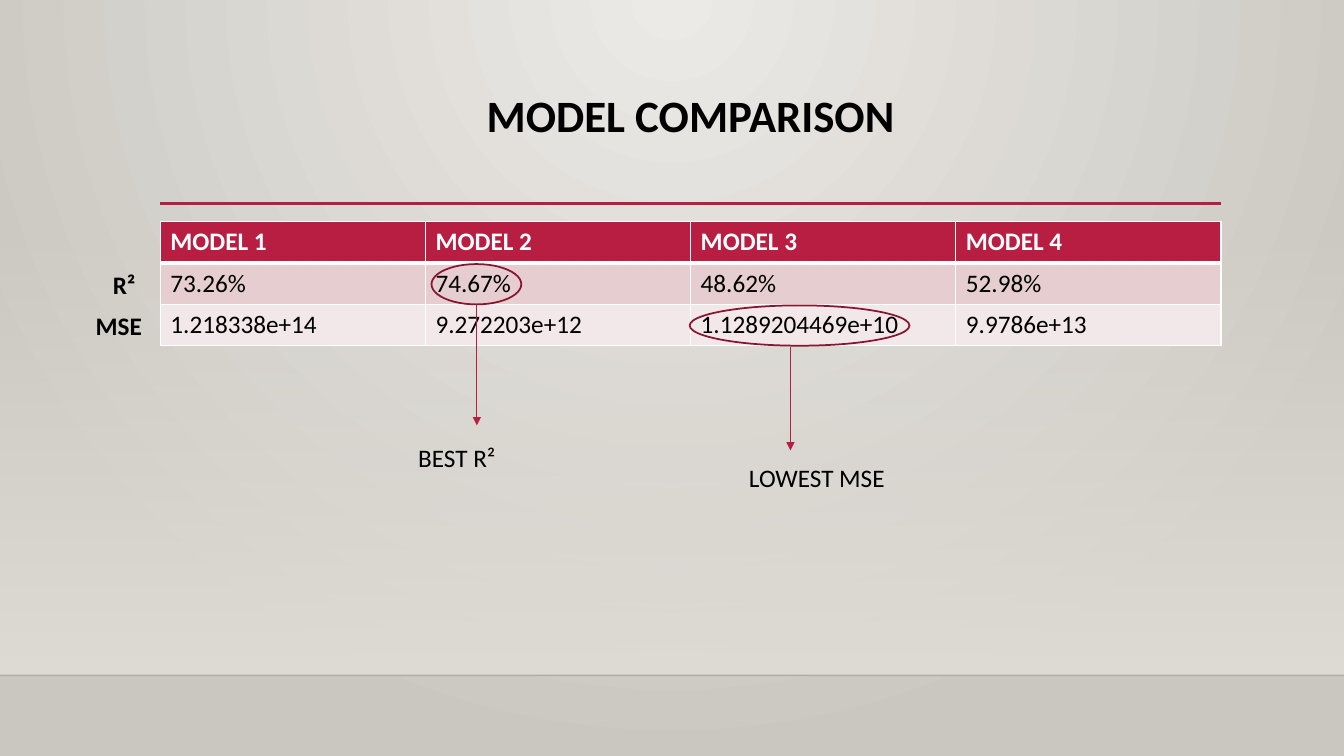
from lxml import etree
from pptx import Presentation
from pptx import util as u
from pptx.dml.color import RGBColor
from pptx.enum import shapes, text
from pptx.oxml.ns import qn

COLORS = {
    "black": "000000", "white": "FFFFFF", "crimson": "B71E42", "maroon": "871631",
    "rose": "E6CDCF", "blush": "F3E8E9", "light": "ECEAE7", "dark": "CAC7C1",
    "band": "DFDBD5", "floor": "000001",
}
WIDTH, HEIGHT = 13.33, 7.5
LEFT, TOP, COLUMN, ROW = 1.59, 2.2, 2.63, 0.41
FLOOR = 6.7
ROWS = [
    [f"MODEL {number}" for number in range(1, 5)],
    ["73.26%", "74.67%", "48.62%", "52.98%"],
    ["1.218338e+14", "9.272203e+12", "1.1289204469e+10", "9.9786e+13"],
]
ROW_FILLS = ["crimson", "rose", "blush"]


def color(name):
    return RGBColor.from_string(COLORS[name])


def inches(*lengths):
    return [u.Inches(length) for length in lengths]


def row_top(row):
    return TOP + 0.01 + ROW * row


def child(parent, tag, **attributes):
    return etree.SubElement(parent, qn(tag), attributes)


def set_alpha(parent, percent):
    child(next(parent.iter(qn("a:srgbClr"))), "a:alpha", val=str(percent * 1000))


def set_gradient(fill, names):
    fill.gradient()
    for stop, name in zip(fill.gradient_stops, names):
        stop.color.rgb = color(name)


def style(paragraph, size=18, name="black", bold=False):
    font = paragraph.font
    font.name, font.size, font.bold = "Calibri", u.Pt(size), bold
    font.color.rgb = color(name)


def add_background(page):
    set_gradient(page.background.fill, ["light", "dark"])
    gradient = next(page.element.iter(qn("a:gradFill")))
    gradient.remove(gradient.find(qn("a:lin")))
    circle = child(gradient, "a:path", path="circle")
    child(circle, "a:fillToRect", l="43000", t="0", r="43000", b="100000")


def add_band(page):
    band = page.shapes.add_shape(
        shapes.MSO_SHAPE.RECTANGLE, *inches(0, 2.21, WIDTH, FLOOR - 2.21))
    band.shadow.inherit = False
    band.line.fill.background()
    set_gradient(band.fill, ["band", "band"])
    band.fill.gradient_angle = 270
    set_alpha(band.element.spPr, 0)


def add_line(page, start, end, name, width, arrow=False):
    line = page.shapes.add_connector(
        shapes.MSO_CONNECTOR.STRAIGHT, *inches(*start, *end))
    line.line.color.rgb = color(name)
    line.line.width = u.Pt(width)
    properties = line.element.spPr
    if arrow:
        child(properties.find(qn("a:ln")), "a:tailEnd", type="triangle")
    child(properties, "a:effectLst")
    return line


def add_text(page, words, left, top, width, height=0.4, size=18, bold=False,
             wrap=True, align=text.PP_ALIGN.LEFT):
    box = page.shapes.add_textbox(*inches(left, top, width, height))
    box.text_frame.word_wrap = wrap
    para = box.text_frame.paragraphs[0]
    para.text = words
    para.alignment = align
    style(para, size, bold=bold)
    return para


def add_ring(page, left, row, width):
    ring = page.shapes.add_shape(
        shapes.MSO_SHAPE.OVAL, *inches(left, row_top(row), width, 0.4))
    ring.shadow.inherit = False
    ring.fill.background()
    ring.line.color.rgb = color("maroon")
    ring.line.width = u.Pt(1.25)


def add_borders(cell, bottom):
    properties = cell._tc.get_or_add_tcPr()
    for index, (side, width) in enumerate(
            [("L", 1), ("R", 1), ("T", 1), ("B", bottom)]):
        border = etree.Element(qn(f"a:ln{side}"), w=str(u.Pt(width)))
        child(child(border, "a:solidFill"), "a:srgbClr", val=COLORS["white"])
        properties.insert(index, border)


def add_scores(page):
    table = page.shapes.add_table(
        len(ROWS), len(ROWS[0]),
        *inches(LEFT, TOP, COLUMN * len(ROWS[0]), ROW * len(ROWS))).table
    for row, values in enumerate(ROWS):
        header = row == 0
        for column, value in enumerate(values):
            cell = table.cell(row, column)
            cell.text = value
            style(cell.text_frame.paragraphs[0],
                  name="white" if header else "black", bold=header)
            cell.fill.solid()
            cell.fill.fore_color.rgb = color(ROW_FILLS[row])
            add_borders(cell, 3 if header else 1)


def main():
    deck = Presentation()
    deck.slide_width, deck.slide_height = inches(WIDTH, HEIGHT)
    page = deck.slides.add_slide(deck.slide_layouts[6])

    add_background(page)
    add_band(page)
    floor = add_line(page, (0, FLOOR), (WIDTH, FLOOR), "floor", 1)
    set_alpha(floor.element.spPr, 20)
    add_line(page, (LEFT, 2.02), (LEFT + 4 * COLUMN, 2.02), "crimson", 2.5)

    title = add_text(page, "MODEL COMPARISON", LEFT, 0.88, 4 * COLUMN, 1.15,
                     size=32, bold=True, align=text.PP_ALIGN.CENTER)
    title.line_spacing = 0.9
    add_scores(page)
    add_text(page, "R²", 1.02, row_top(1), 0.88, bold=True)
    add_text(page, "MSE", 0.85, row_top(2), 0.74, bold=True, wrap=False)

    add_line(page, (4.73, row_top(2)), (4.73, 4.22), "crimson", 0.75, arrow=True)
    add_ring(page, 4.28, 1, 0.89)
    add_text(page, "BEST R²", 4.05, 4.34, 1.74)
    add_ring(page, 6.84, 2, 2.18)
    add_line(page, (7.84, row_top(3)), (7.84, 4.47), "crimson", 0.75, arrow=True)
    add_text(page, "LOWEST MSE", 7.33, 4.54, 1.69)

    deck.save("out.pptx")


if __name__ == "__main__":
    main()
